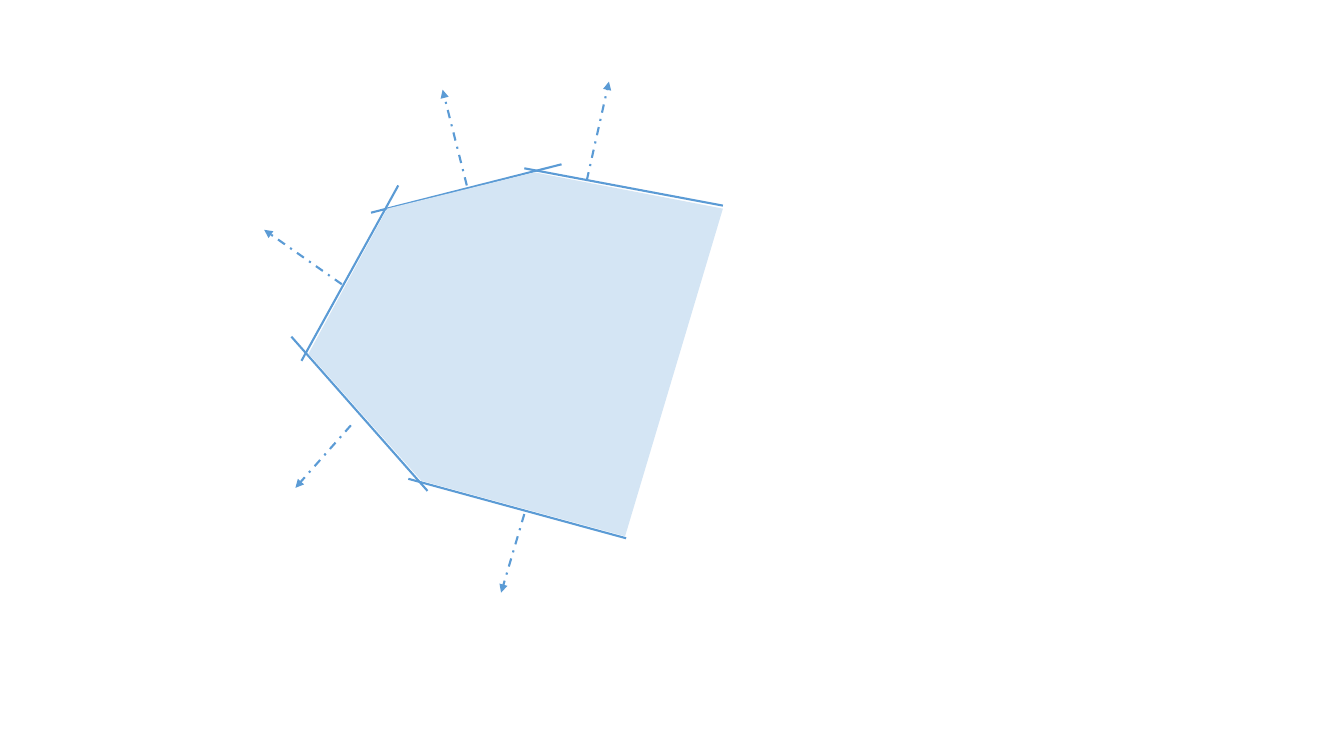
import pptx
import pptx.dml.color
import pptx.enum.dml
import pptx.enum.shapes
import pptx.oxml
import pptx.oxml.ns
import pptx.util

COLORS = {"line": "5B9BD5", "region": "D4E5F4"}
SLIDE_SIZE = (13.33, 7.5)
LINE_WIDTH = 1.5

# Points are (x, y) in inches; each boundary edge is paired with its outward normal.
BOUNDARIES = [
    {"edge": ((2.89, 3.34), (4.24, 4.87)), "normal": ((3.48, 4.22), (2.93, 4.84))},
    {"edge": ((2.99, 3.58), (3.95, 1.84)), "normal": ((3.39, 2.82), (2.62, 2.28))},
    {"edge": ((3.68, 2.11), (5.57, 1.63)), "normal": ((4.63, 1.84), (4.39, 0.89))},
    {"edge": ((5.2, 1.67), (7.17, 2.04)), "normal": ((5.82, 1.79), (6.04, 0.81))},
    {"edge": ((4.05, 4.75), (6.21, 5.34)), "normal": ((5.2, 5.1), (4.97, 5.88))},
]
REGION = [(7.17, 2.07), (5.3, 1.71), (3.84, 2.07),
          (3.06, 3.51), (4.18, 4.77), (6.2, 5.32)]


def color(name):
    return pptx.dml.color.RGBColor.from_string(COLORS[name])


def to_emu(point):
    return [pptx.util.Inches(value) for value in point]


def add_line(slide, start, end):
    connector = slide.shapes.add_connector(
        pptx.enum.shapes.MSO_CONNECTOR.STRAIGHT, *to_emu(start), *to_emu(end))
    connector.line.color.rgb = color("line")
    connector.line.width = pptx.util.Pt(LINE_WIDTH)
    properties = connector._element.spPr
    properties.append(pptx.oxml.parse_xml(
        f"<a:effectLst {pptx.oxml.ns.nsdecls('a')}/>"))
    return connector


def add_normal(slide, start, end):
    """Add a dash-dot arrow pointing out of the region."""
    arrow = add_line(slide, start, end)
    arrow.line.dash_style = pptx.enum.dml.MSO_LINE.DASH_DOT
    arrow.line._get_or_add_ln().append(pptx.oxml.parse_xml(
        f"<a:tailEnd {pptx.oxml.ns.nsdecls('a')} type='triangle'/>"))


def add_region(slide, points):
    corners = [to_emu(point) for point in points]
    builder = slide.shapes.build_freeform(*corners[0])
    builder.add_line_segments(corners[1:], close=True)
    region = builder.convert_to_shape()
    region.shadow.inherit = False
    region.fill.solid()
    region.fill.fore_color.rgb = color("region")
    region.line.fill.background()


def main():
    presentation = pptx.Presentation()
    presentation.slide_width, presentation.slide_height = to_emu(SLIDE_SIZE)
    slide = presentation.slides.add_slide(presentation.slide_layouts[6])
    for boundary in BOUNDARIES:
        add_line(slide, *boundary["edge"])
    for boundary in BOUNDARIES:
        add_normal(slide, *boundary["normal"])
    add_region(slide, REGION)
    presentation.save("out.pptx")


if __name__ == "__main__":
    main()
